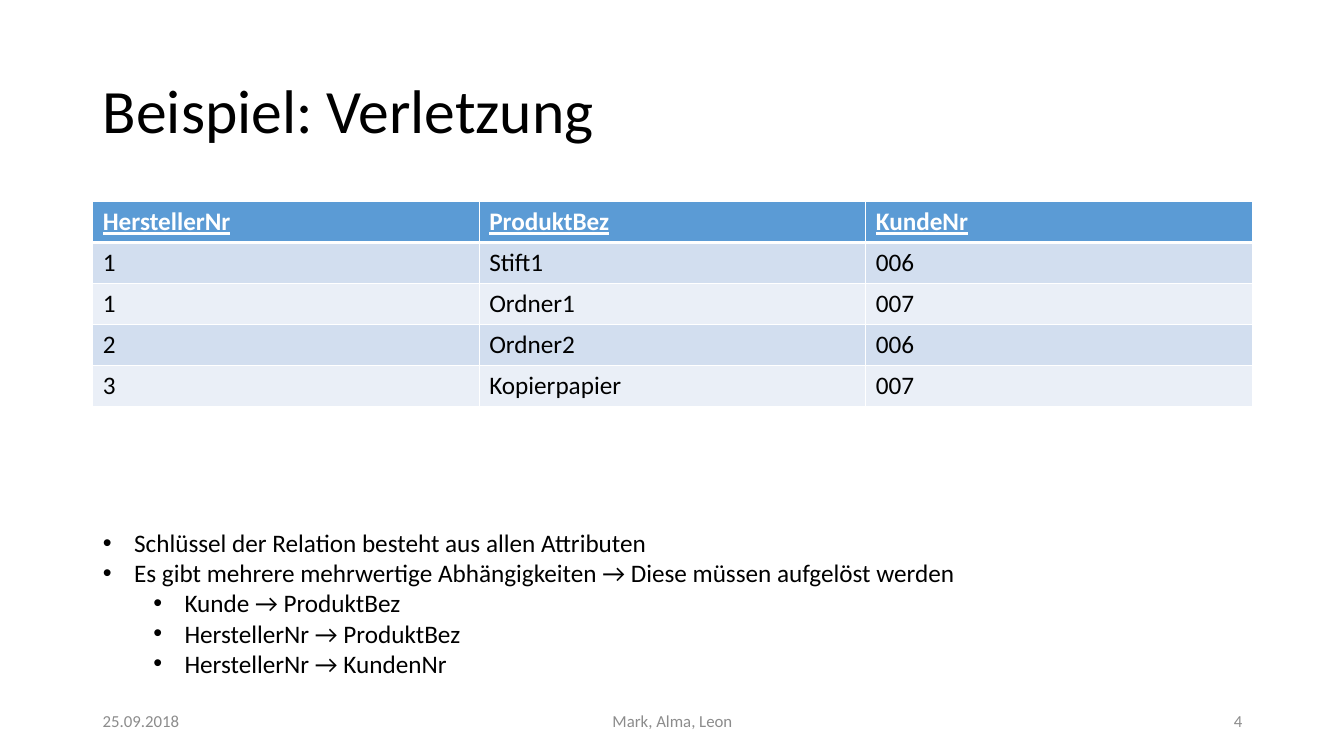
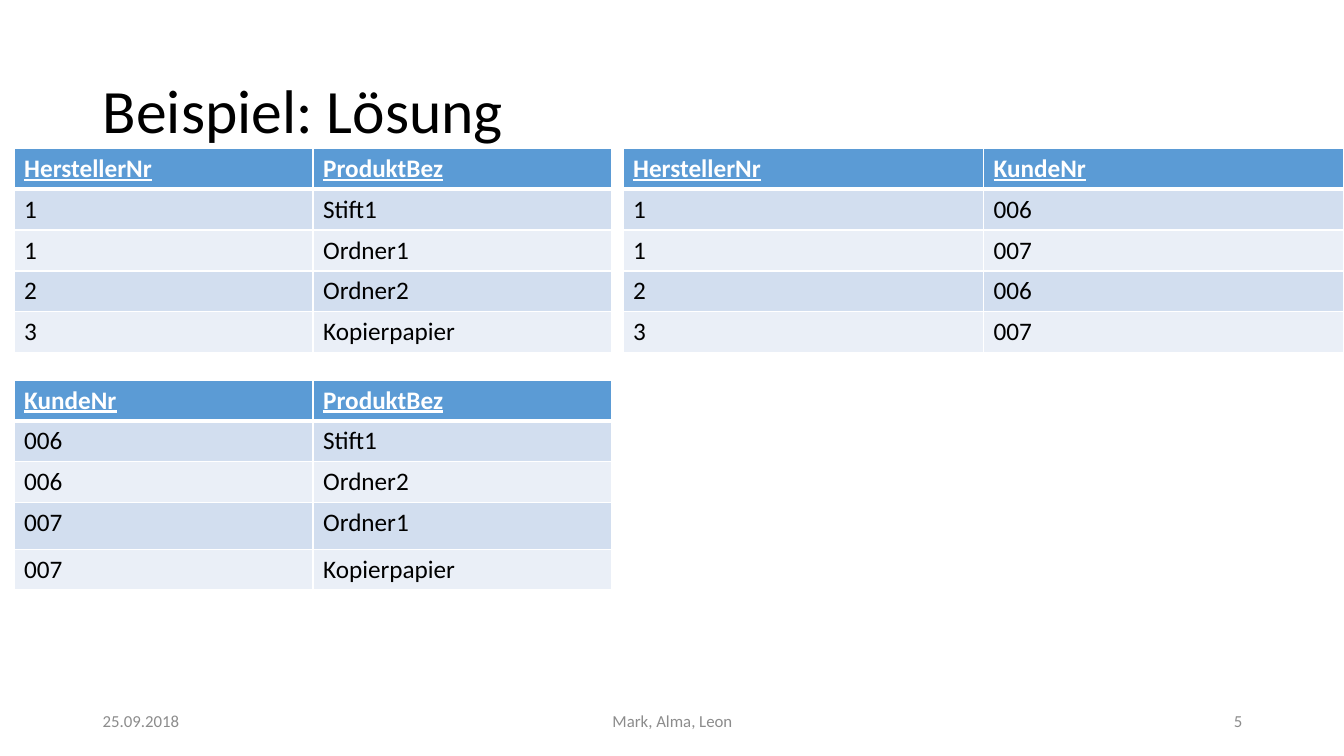
from pptx import Presentation
from pptx.dml.color import RGBColor
from pptx.enum.text import MSO_ANCHOR as Anchor, MSO_AUTO_SIZE as AutoSize, PP_ALIGN as Align
from pptx.oxml.xmlchemy import OxmlElement as Element
from pptx.util import Inches, Pt

# Shared style
FONT = "Calibri"
BLACK, WHITE, GREY = "000000", "FFFFFF", "8C8C8C"
HEADER, BANDS = "5B9BD5", ("D2DEEF", "EAEFF7")
MARGIN, CONTENT_WIDTH = 0.92, 11.5
TABLE_HEIGHT = 2.03
DATE, AUTHORS = "25.09.2018", "Mark, Alma, Leon"
FOOTER_TOP, FOOTER_HEIGHT = 6.95, 0.4


def rgb(code):
    return RGBColor.from_string(code)


def write(paragraph, text, size=18, color=BLACK, bold=False, underline=False,
          align=Align.LEFT, spacing=1.0):
    paragraph.alignment = align
    paragraph.line_spacing = spacing
    paragraph.space_before = paragraph.space_after = Pt(0)
    run = paragraph.add_run()
    run.text = text
    font = run.font
    font.name, font.size = FONT, Pt(size)
    font.bold, font.underline = bold, underline
    font.color.rgb = rgb(color)


def set_bullet(paragraph, left, hanging):
    properties = paragraph._p.get_or_add_pPr()
    properties.set("marL", str(Inches(left)))
    properties.set("indent", str(-Inches(hanging)))
    bullet_font = Element("a:buFont")
    bullet_font.set("typeface", "Arial")
    bullet = Element("a:buChar")
    bullet.set("char", "•")
    properties.extend([bullet_font, bullet])


def set_borders(cell, **widths):
    properties = cell._tc.get_or_add_tcPr()
    for side in "LRTB":
        line = Element(f"a:ln{side}")
        line.set("w", str(Pt(widths.get(side, 1))))
        fill = Element("a:solidFill")
        color = Element("a:srgbClr")
        color.set("val", WHITE)
        fill.append(color)
        line.append(fill)
        properties.append(line)


class Deck:
    def __init__(self):
        self.presentation = Presentation()
        self.presentation.slide_width = Inches(13.33)
        self.presentation.slide_height = Inches(7.5)
        self.slide = None

    def place(self, shape, left, top, width, height):
        shape.left, shape.top = Inches(left), Inches(top)
        shape.width, shape.height = Inches(width), Inches(height)

    def new_slide(self, heading, number, layout):
        self.slide = self.presentation.slides.add_slide(
            self.presentation.slide_layouts.get_by_name(layout))
        title = self.slide.shapes.title
        self.place(title, MARGIN, 0.4, CONTENT_WIDTH, 1.45)
        title.text_frame.auto_size = AutoSize.NONE
        title.text_frame.vertical_anchor = Anchor.MIDDLE
        write(title.text_frame.paragraphs[0], heading, size=44, spacing=0.9)
        self.footer(DATE, MARGIN, 3, Align.LEFT)
        self.footer(AUTHORS, 4.42, 4.5, Align.CENTER)
        self.footer(str(number), 9.42, 3, Align.RIGHT)

    def footer(self, text, left, width, align):
        box = self.slide.shapes.add_textbox(
            Inches(left), Inches(FOOTER_TOP), Inches(width), Inches(FOOTER_HEIGHT))
        box.text_frame.word_wrap = True
        box.text_frame.vertical_anchor = Anchor.MIDDLE
        write(box.text_frame.paragraphs[0], text, size=12, color=GREY, align=align)

    def bullets(self, items, left, top, width, height):
        body = self.slide.placeholders[1]
        self.place(body, left, top, width, height)
        frame = body.text_frame
        frame.auto_size = AutoSize.NONE
        frame.vertical_anchor = Anchor.TOP
        for index, (level, text) in enumerate(items):
            paragraph = frame.add_paragraph() if index else frame.paragraphs[0]
            paragraph.level = level
            write(paragraph, text)
            set_bullet(paragraph, left=0.31 + 0.5 * level, hanging=0.31)

    def table(self, records, left, top, width):
        table = self.slide.shapes.add_table(
            len(records), len(records[0]), Inches(left), Inches(top),
            Inches(width), Inches(TABLE_HEIGHT)).table
        for row, record in enumerate(records):
            is_header = row == 0
            for column, value in enumerate(record):
                cell = table.cell(row, column)
                set_borders(cell, T=3 if row == 1 else 1, B=3 if is_header else 1)
                cell.fill.solid()
                cell.fill.fore_color.rgb = rgb(HEADER if is_header else BANDS[(row - 1) % 2])
                write(cell.text_frame.paragraphs[0], value,
                      color=WHITE if is_header else BLACK,
                      bold=is_header, underline=is_header)
        return table


# Relation and its projections
orders = [
    ("HerstellerNr", "ProduktBez", "KundeNr"),
    ("1", "Stift1", "006"),
    ("1", "Ordner1", "007"),
    ("2", "Ordner2", "006"),
    ("3", "Kopierpapier", "007"),
]
maker_products = [(maker, product) for maker, product, _ in orders]
maker_customers = [(maker, customer) for maker, _, customer in orders]
customer_products = [
    ("KundeNr", "ProduktBez"),
    ("006", "Stift1"),
    ("006", "Ordner2"),
    ("007", "Ordner1"),
    ("007", "Kopierpapier"),
]

deck = Deck()

# Slide 1: violation
deck.new_slide("Beispiel: Verletzung", 4, "Title and Content")
deck.table(orders, MARGIN, 2, CONTENT_WIDTH)
deck.bullets([
    (0, "Schlüssel der Relation besteht aus allen Attributen"),
    (0, "Es gibt mehrere mehrwertige Abhängigkeiten → Diese müssen aufgelöst werden"),
    (1, "Kunde → ProduktBez"),
    (1, "HerstellerNr → ProduktBez"),
    (1, "HerstellerNr → KundenNr"),
], MARGIN, 5.18, CONTENT_WIDTH, 1.62)

# Slide 2: solution
deck.new_slide("Beispiel: Lösung", 5, "Title Only")
customer_table = deck.table(customer_products, 0.14, 3.77, 5.93)
customer_table.rows[3].height = Inches(0.46)
deck.table(maker_products, 0.14, 1.47, 5.93)
deck.table(maker_customers, 6.18, 1.47, 7.15)

deck.presentation.save("out.pptx")
